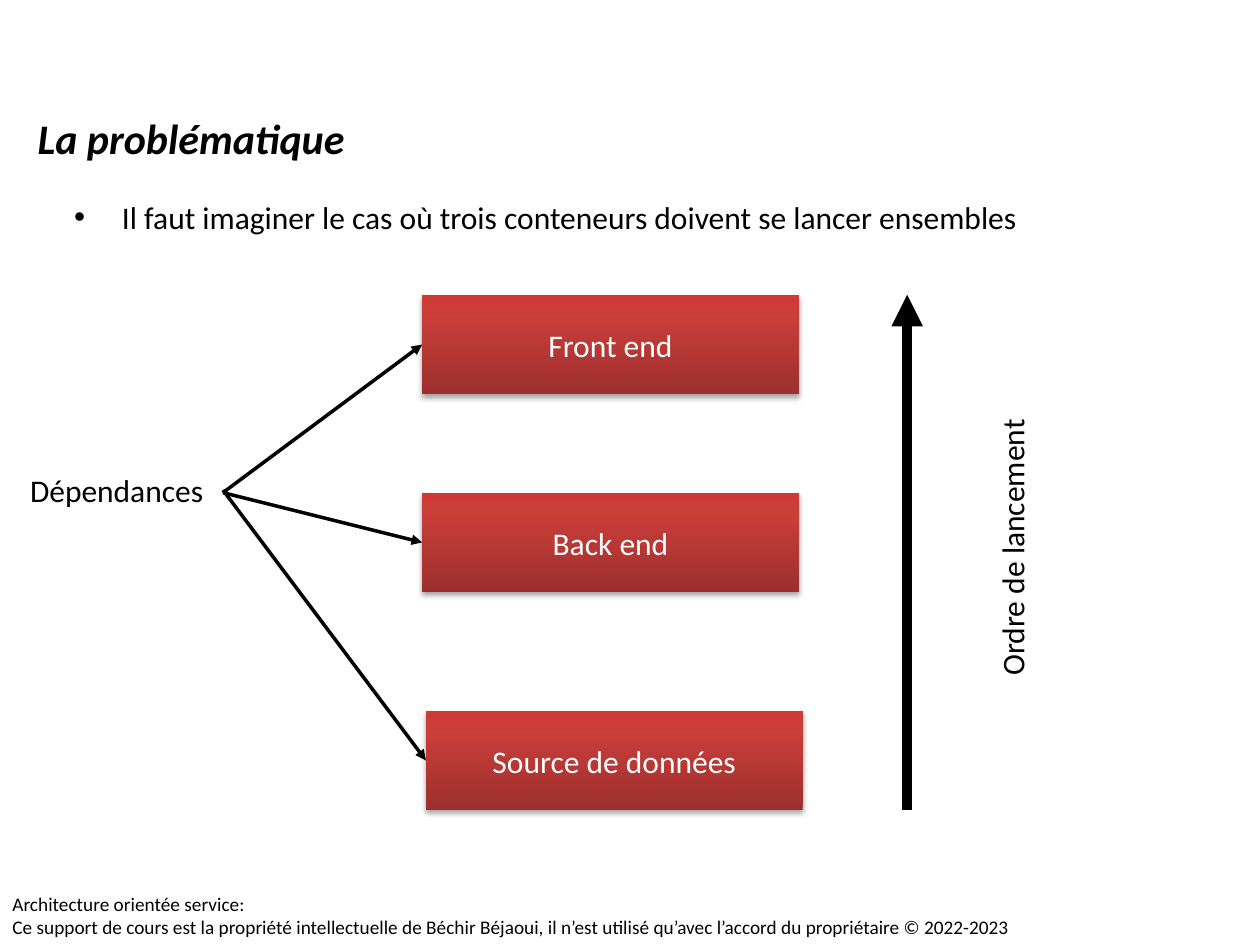
from copy import deepcopy

from lxml import etree
from pptx import Presentation
from pptx import util as u
from pptx.dml.color import RGBColor
from pptx.enum import shapes, text
from pptx.oxml import parse_xml
from pptx.oxml.ns import nsdecls, qn

HUES = {"ink": "000000", "label": "FFFFFF",
        "dark": "9C2F2D", "mid": "CB3E3A", "light": "CE3B37"}
FONT = "Calibri"


def rgb(name):
    return RGBColor.from_string(HUES[name])


class Deck:
    """Holds the style and the current slide."""

    def __init__(self, wide, high):
        self.prs = Presentation()
        self.prs.slide_width = u.Inches(wide)
        self.prs.slide_height = u.Inches(high)
        self.slide = self.prs.slides.add_slide(self.prs.slide_layouts[6])

    def style(self, frame, size, hue="ink", bold=False):
        for para in frame.paragraphs:
            for run in para.runs:
                font = run.font
                font.name, font.size = FONT, u.Pt(size)
                font.color.rgb = rgb(hue)
                font.bold = font.italic = bold

    def text(self, words, at, size=18, bold=False, wrap=False, turn=0):
        box = self.slide.shapes.add_textbox(*map(u.Inches, at))
        box.rotation = turn
        frame = box.text_frame
        frame.word_wrap = wrap
        frame.text = words
        self.style(frame, size, bold=bold)
        return box

    def bullet(self, words, at):
        box = self.text(words, at, wrap=True)
        props = box.text_frame.paragraphs[0]._p.get_or_add_pPr()
        props.set("marL", str(u.Inches(0.38)))
        props.set("indent", str(u.Inches(-0.38)))
        etree.SubElement(props, qn("a:buFont")).set("typeface", "Arial")
        etree.SubElement(props, qn("a:buChar")).set("char", "•")

    def block(self, words, at):
        box = self.slide.shapes.add_shape(
            shapes.MSO_SHAPE.RECTANGLE, *map(u.Inches, at))
        # Gradient running upwards, dark to light
        fill = box.fill
        fill.gradient()
        fill.gradient_angle = 90
        stops = box._element.spPr.find(".//" + qn("a:gsLst"))
        stops.append(deepcopy(stops[-1]))
        marks = (("dark", 0), ("mid", 0.8), ("light", 1))
        for stop, (hue, place) in zip(fill.gradient_stops, marks):
            stop.color.rgb = rgb(hue)
            stop.position = place
        box.line.fill.background()
        # Soft shadow below
        box._element.spPr.append(parse_xml(
            f'<a:effectLst {nsdecls("a")}>'
            '<a:outerShdw blurRad="40000" dist="23000" dir="5400000" '
            'rotWithShape="0"><a:srgbClr val="000000">'
            '<a:alpha val="35000"/></a:srgbClr></a:outerShdw>'
            '</a:effectLst>'))
        frame = box.text_frame
        frame.text = words
        frame.vertical_anchor = text.MSO_ANCHOR.MIDDLE
        frame.paragraphs[0].alignment = text.PP_ALIGN.CENTER
        self.style(frame, 18, "label")
        return box

    def arrow(self, start, end, width, goal=None):
        line = self.slide.shapes.add_connector(
            shapes.MSO_CONNECTOR.STRAIGHT, *map(u.Inches, start + end))
        if goal is not None:
            line.end_connect(goal, 1)
        line.line.width = u.Pt(width)
        line.line.color.rgb = rgb("ink")
        tail = etree.SubElement(line.line._get_or_add_ln(), qn("a:tailEnd"))
        tail.set("type", "triangle")
        etree.SubElement(line._element.spPr, qn("a:effectLst"))


def main():
    deck = Deck(10, 7.5)

    # Footer, title and bullet
    deck.text("Architecture orientée service:\n"
              "Ce support de cours est la propriété intellectuelle de Béchir "
              "Béjaoui, il n’est utilisé qu’avec l’accord du propriétaire "
              "© 2022-2023", (0, 7.03, 9.61, 0.47), size=11, wrap=True)
    deck.text("La problématique", (0.2, 0.84, 2.74, 0.5), size=24, bold=True)
    deck.bullet("Il faut imaginer le cas où trois conteneurs doivent se "
                "lancer ensembles", (0.49, 1.52, 8.9, 1.05))

    # Containers, each with an arrow from the dependencies label
    wide, high = 2.99, 0.79
    tiers = (("Front end", 3.35, 2.34, 3.91),
             ("Back end", 3.35, 3.91, 3.91),
             ("Source de données", 3.38, 5.64, 3.89))
    for name, left, top, start in tiers:
        box = deck.block(name, (left, top, wide, high))
        deck.arrow((1.77, start), (left, top + high / 2), 2, box)
    deck.text("Dépendances", (0.14, 3.69, 1.6, 0.4))

    # Launch order
    deck.arrow((7.2, 6.43), (7.2, 2.34), 6)
    deck.text("Ordre de lancement", (6.87, 4.1, 2.32, 0.4), turn=270)

    deck.prs.save("out.pptx")


if __name__ == "__main__":
    main()
